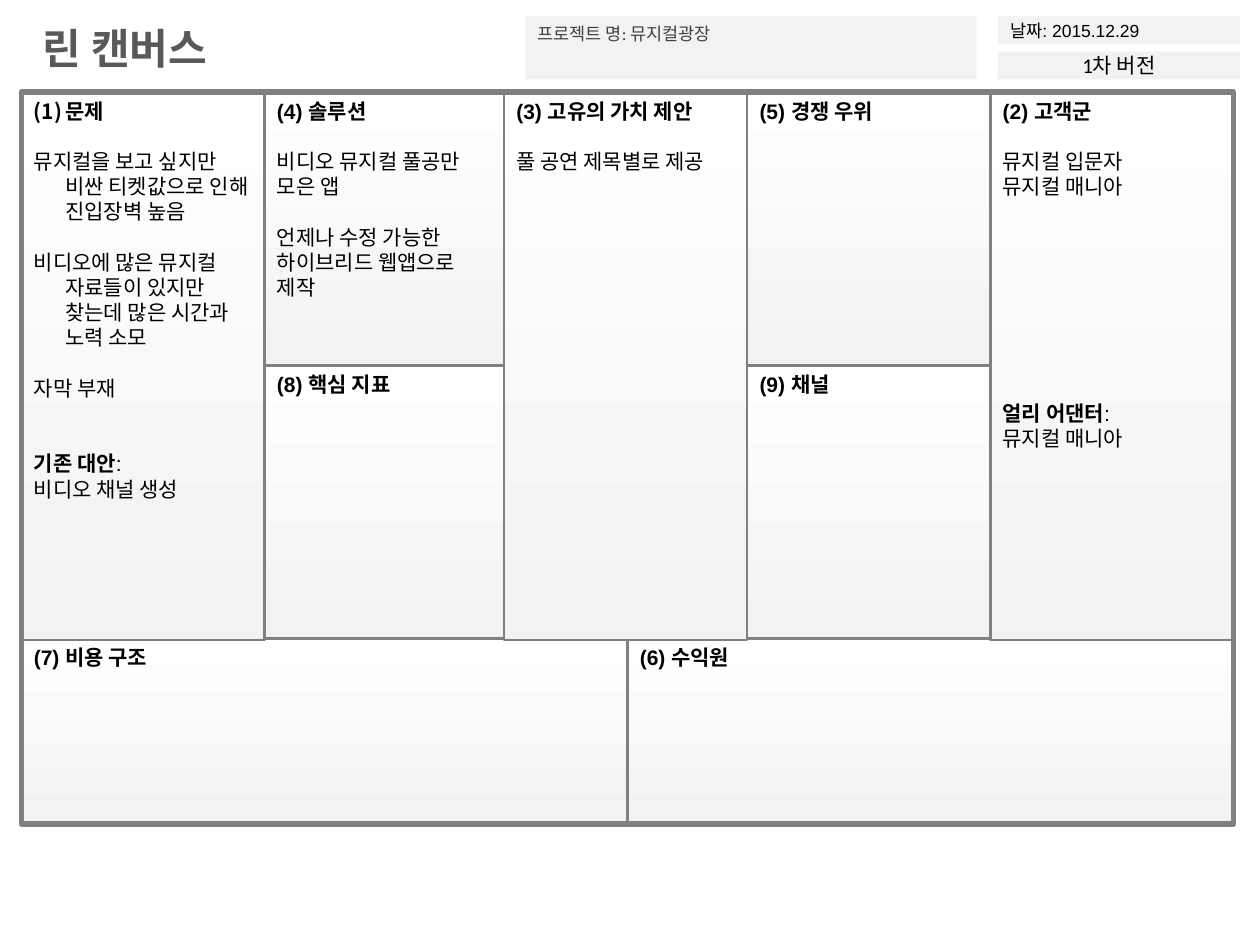
from dataclasses import dataclass

from pptx import Presentation
from pptx.dml.color import RGBColor
from pptx.enum.shapes import MSO_SHAPE as Shape
from pptx.enum.text import MSO_ANCHOR as Anchor, MSO_AUTO_SIZE as AutoSize, PP_ALIGN as Align
from pptx.oxml.xmlchemy import OxmlElement
from pptx.util import Inches, Pt


@dataclass(frozen=True)
class Theme:
    """Colours, fonts and sizes of the canvas."""
    black: str = "000000"
    title: str = "595959"
    project: str = "404040"
    panel: str = "F2F2F2"
    white: str = "FFFFFF"
    border: str = "808080"
    heading_font: str = "Calibri"
    body_font: str = "Arial"
    title_size: int = 24
    body_size: int = 12
    small_size: int = 10
    line_height: float = 14.4
    cell_line: float = 1.5
    frame_line: float = 3


@dataclass(frozen=True)
class Line:
    """A paragraph: bold part, plain part, and lines of space above."""
    bold: str = ""
    plain: str = ""
    gap: int = 0
    hanging: bool = False
    numbered: bool = False


THEME = Theme()
LEFT, TOP, WIDTH, HEIGHT = 0.17, 0.73, 9.62, 5.81
COLUMN_LEFTS = (LEFT, 2.1, 4, 5.93, 7.86)
COLUMN_WIDTH, COLUMN_HEIGHT = 1.93, 4.35
HALF_HEIGHT = 2.17
BOTTOM_TOP, BOTTOM_HEIGHT = 5.07, 1.46

PROBLEM = [
    Line("문제", hanging=True, numbered=True),
    Line(plain="뮤지컬을 보고 싶지만 비싼 티켓값으로 인해 진입장벽 높음", gap=1, hanging=True),
    Line(plain="비디오에 많은 뮤지컬 자료들이 있지만 찾는데 많은 시간과 노력 소모", gap=1, hanging=True),
    Line(plain="자막 부재", gap=1, hanging=True),
    Line("기존 대안", ": ", gap=2),
    Line(plain="비디오 채널 생성"),
]
SOLUTION = [
    Line("(4) 솔루션"),
    Line(plain="비디오 뮤지컬 풀공만 모은 앱", gap=1),
    Line(plain="언제나 수정 가능한 하이브리드 웹앱으로 제작", gap=1),
]
VALUE = [Line("(3) 고유의 가치 제안"), Line(plain="풀 공연 제목별로 제공", gap=1)]
CUSTOMERS = [
    Line("(2) 고객군"),
    Line(plain="뮤지컬 입문자", gap=1),
    Line(plain="뮤지컬 매니아"),
    Line("얼리 어댄터", ":", gap=8),
    Line(plain="뮤지컬 매니아"),
]


def format_font(font, name, size, color, bold=False):
    """Apply typeface, size, colour and weight."""
    font.name, font.size, font.bold = name, Pt(size), bold
    font.color.rgb = RGBColor.from_string(color)


def add_box(slide, kind, left, top, width, height):
    """Add a shape without shadow, fill or line."""
    shape = slide.shapes.add_shape(kind, Inches(left), Inches(top), Inches(width), Inches(height))
    shape.shadow.inherit = False
    shape.fill.background()
    shape.line.fill.background()
    return shape


def add_bordered_box(slide, left, top, width, height, line_width):
    """Add a square-cornered outline in the border colour."""
    shape = add_box(slide, Shape.ROUNDED_RECTANGLE, left, top, width, height)
    shape.adjustments[0] = 0
    shape.line.color.rgb = RGBColor.from_string(THEME.border)
    shape.line.width = Pt(line_width)
    return shape


def add_title(slide, text):
    """Place and format the title placeholder."""
    title = slide.shapes.title
    title.left, title.top, title.width, title.height = map(Inches, (0.24, 0.13, 1.62, 0.5))
    frame = title.text_frame
    frame.text = text
    frame.word_wrap = False
    frame.auto_size = AutoSize.SHAPE_TO_FIT_TEXT
    frame.vertical_anchor = Anchor.TOP
    paragraph = frame.paragraphs[0]
    paragraph.alignment = Align.LEFT
    format_font(paragraph.runs[0].font, THEME.heading_font, THEME.title_size, THEME.title, True)


def add_label(slide, box, text, font, size, color, align=Align.LEFT, anchor=Anchor.MIDDLE):
    """Add a grey header field with one line of text."""
    shape = add_box(slide, Shape.RECTANGLE, *box)
    shape.fill.solid()
    shape.fill.fore_color.rgb = RGBColor.from_string(THEME.panel)
    frame = shape.text_frame
    frame.text = text
    frame.vertical_anchor = anchor
    paragraph = frame.paragraphs[0]
    paragraph.alignment = align
    format_font(paragraph.runs[0].font, font, size, color)


def fill_gradient(shape):
    """Shade a cell from white at the top to grey at the bottom."""
    shape.fill.gradient()
    shape.fill.gradient_angle = 90
    for stop, color in zip(shape.fill.gradient_stops, (THEME.panel, THEME.white)):
        stop.color.rgb = RGBColor.from_string(color)


def indent_paragraph(paragraph, numbered):
    """Give a hanging indent and, if wanted, a number in brackets."""
    properties = paragraph._p.get_or_add_pPr()
    properties.set("marL", str(Inches(0.25)))
    properties.set("indent", str(-Inches(0.25)))
    if numbered:
        number = OxmlElement("a:buAutoNum")
        number.set("type", "arabicParenBoth")
        properties.append(number)


def write_line(paragraph, line):
    """Write one canvas line with its spacing and weights."""
    paragraph.alignment = Align.LEFT
    if line.gap:
        paragraph.space_before = Pt(line.gap * THEME.line_height)
    if line.hanging:
        indent_paragraph(paragraph, line.numbered)
    for text, bold in ((line.bold, True), (line.plain, False)):
        if text:
            run = paragraph.add_run()
            run.text = text
            format_font(run.font, THEME.body_font, THEME.body_size, THEME.black, bold)


def add_cell(slide, left, top, width, height, lines):
    """Add one canvas cell with its heading and notes."""
    shape = add_bordered_box(slide, left, top, width, height, THEME.cell_line)
    fill_gradient(shape)
    frame = shape.text_frame
    frame.vertical_anchor = Anchor.TOP
    for index, line in enumerate(lines):
        write_line(frame.add_paragraph() if index else frame.paragraphs[0], line)


def add_header(slide):
    """Add the title and the three header fields."""
    add_title(slide, "린 캔버스")
    add_label(slide, (4.17, 0.13, 3.58, 0.5), "프로젝트 명: 뮤지컬광장", THEME.heading_font,
              THEME.small_size, THEME.project, anchor=Anchor.TOP)
    add_label(slide, (7.92, 0.13, 1.92, 0.22), "날짜: 2015.12.29", THEME.body_font,
              THEME.small_size, THEME.black)
    add_label(slide, (7.92, 0.41, 1.92, 0.22), "1차 버전", THEME.heading_font,
              THEME.body_size, THEME.black, align=Align.CENTER)


def add_canvas(slide):
    """Add the bottom row, the five columns and the outer frame."""
    for index, heading in enumerate(("(7) 비용 구조", "(6) 수익원")):
        add_cell(slide, LEFT + index * WIDTH / 2, BOTTOM_TOP, WIDTH / 2, BOTTOM_HEIGHT,
                 [Line(heading)])
    columns = ([PROBLEM], [SOLUTION, [Line("(8) 핵심 지표")]], [VALUE],
               [[Line("(5) 경쟁 우위")], [Line("(9) 채널")]], [CUSTOMERS])
    for left, cells in zip(COLUMN_LEFTS, columns):
        height = COLUMN_HEIGHT if len(cells) == 1 else HALF_HEIGHT
        for row, lines in enumerate(cells):
            add_cell(slide, left, TOP + row * HALF_HEIGHT, COLUMN_WIDTH, height, lines)
    add_bordered_box(slide, LEFT, TOP, WIDTH, HEIGHT, THEME.frame_line)


def main():
    """Build and save the lean canvas."""
    presentation = Presentation()
    presentation.slide_width, presentation.slide_height = Inches(10), Inches(7.5)
    slide = presentation.slides.add_slide(presentation.slide_layouts[5])
    add_header(slide)
    add_canvas(slide)
    presentation.save("out.pptx")


main()
